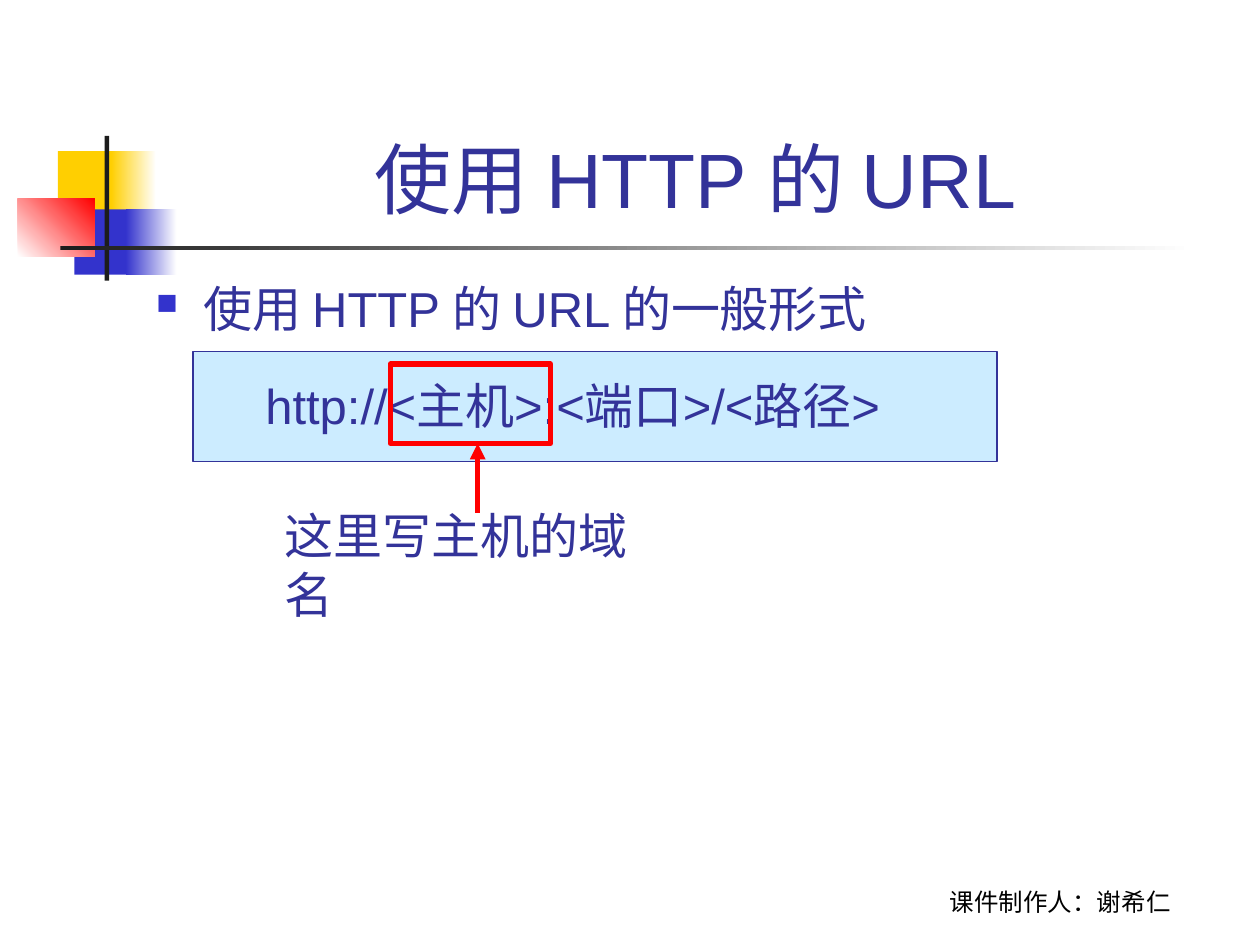
from lxml import etree
from pptx import Presentation
from pptx.dml.color import RGBColor
from pptx.enum.shapes import MSO_CONNECTOR, MSO_SHAPE
from pptx.enum.text import MSO_ANCHOR, PP_ALIGN
from pptx.oxml.ns import qn
from pptx.util import Cm, Pt

RECT = MSO_SHAPE.RECTANGLE
LINE = MSO_CONNECTOR.STRAIGHT
TOP, BOTTOM = MSO_ANCHOR.TOP, MSO_ANCHOR.BOTTOM
LEFT, CENTER = PP_ALIGN.LEFT, PP_ALIGN.CENTER

WHITE = RGBColor(0xFF, 0xFF, 0xFF)
BLACK = RGBColor(0, 0, 0)
INK = RGBColor(0x1C, 0x1C, 0x1C)
NAVY = RGBColor(0x33, 0x33, 0x99)
BLUE = RGBColor(0x33, 0x33, 0xCC)
SKY = RGBColor(0xCC, 0xEC, 0xFF)
GOLD = RGBColor(0xFF, 0xCF, 0x01)
RED = RGBColor(0xFF, 0, 0)


class Deck:
    base = {"name": "Arial", "size": 28, "color": NAVY}

    def __init__(self, wide, high):
        self.prs = Presentation()
        self.prs.slide_width, self.prs.slide_height = Cm(wide), Cm(high)
        self.slide = self.prs.slides.add_slide(self.prs.slide_layouts[5])
        self.shapes = self.slide.shapes

    def label(self, para, text, **style):
        """Put one styled run into a paragraph."""
        run = para.add_run()
        run.text = text
        form = {**self.base, **style}
        run.font.color.rgb = form.pop("color")
        form["size"] = Pt(form["size"])
        for key, value in form.items():
            setattr(run.font, key, value)

    def title(self, text, x, y, w, h):
        box = self.shapes.title
        place = {"left": x, "top": y, "width": w, "height": h}
        for key, value in place.items():
            setattr(box, key, Cm(value))
        box.text_frame.vertical_anchor = BOTTOM
        para = box.text_frame.paragraphs[0]
        para.alignment = CENTER
        self.label(para, text, size=44)

    def text(self, lines, x, y, w, h, wrap=True, anchor=TOP, align=LEFT, **style):
        frame = self.shapes.add_textbox(Cm(x), Cm(y), Cm(w), Cm(h)).text_frame
        frame.word_wrap, frame.vertical_anchor = wrap, anchor
        paras = [frame.paragraphs[0]]
        paras += [frame.add_paragraph() for _ in lines[1:]]
        for para, line in zip(paras, lines):
            para.alignment = align
            self.label(para, line, **style)
        return paras

    def indent(self, para, left, first, before):
        para.space_before = Pt(before)
        props = para._p.get_or_add_pPr()
        props.set("marL", str(Cm(left)))
        props.set("indent", str(Cm(first)))
        return props

    def bullet(self, props, char, color, size):
        tint = etree.SubElement(props, qn("a:buClr"))
        etree.SubElement(tint, qn("a:srgbClr"), val=str(color))
        etree.SubElement(props, qn("a:buSzPct"), val=str(size * 1000))
        etree.SubElement(props, qn("a:buChar"), char=char)

    def rect(self, x, y, w, h, fill=None, fade=None, angle=0, line=None, width=1):
        box = self.shapes.add_shape(RECT, Cm(x), Cm(y), Cm(w), Cm(h))
        box.shadow.inherit = False
        if fade:
            box.fill.gradient()
            box.fill.gradient_angle = angle
            for stop, color in zip(box.fill.gradient_stops, fade):
                stop.color.rgb = color
        elif fill is not None:
            box.fill.solid()
            box.fill.fore_color.rgb = fill
        else:
            box.fill.background()
        if line is None:
            box.line.fill.background()
        else:
            box.line.color.rgb, box.line.width = line, Pt(width)

    def arrow(self, x1, y1, x2, y2, color, width):
        link = self.shapes.add_connector(LINE, Cm(x1), Cm(y1), Cm(x2), Cm(y2))
        link.line.color.rgb, link.line.width = color, Pt(width)
        props = link._element.spPr
        etree.SubElement(props.find(qn("a:ln")), qn("a:tailEnd"), type="triangle")
        etree.SubElement(props, qn("a:effectLst"))


def main():
    deck = Deck(25.4, 19.05)

    # Corner ornament: two fading bars, a red block and the cross lines
    for color, x, y, w, cut, tail in ((GOLD, 1.17, 3.05, 1.22, 2.24, 0.91),
                                      (BLUE, 1.5, 4.22, 1.17, 2.54, 1.02)):
        deck.rect(x, y, w, 1.32, fill=color)
        deck.rect(cut, y, tail, 1.32, fade=(color, WHITE))
    deck.rect(0.36, 4.01, 1.55, 1.17, fade=(WHITE, RED), angle=45)
    deck.rect(2.11, 2.74, 0.09, 2.92, fill=INK)
    deck.rect(1.22, 4.95, 22.86, 0.09, fade=(INK, WHITE))

    # Title and credit
    deck.title("使用 HTTP 的 URL", 3.2, 0.58, 21.64, 4.06)
    deck.text(["课件制作人：谢希仁"], 17.35, 17.32, 8.05, 1.27, anchor=BOTTOM,
              align=CENTER, name="Lato", size=14, color=BLACK)

    # URL form on its panel
    deck.rect(3.89, 7.09, 16.21, 2.21, fill=SKY, line=NAVY, width=0.75)
    head, form = deck.text(["使用 HTTP 的 URL 的一般形式", "http://<主机>:<端口>/<路径>"],
                           2.9, 5.49, 21.59, 3.81)
    deck.bullet(deck.indent(head, 0.95, -0.95, 7), "■", BLUE, 60)
    deck.indent(form, 2.2, 0, 22)

    # Host part marked and explained
    deck.rect(7.87, 7.34, 3.23, 1.6, line=RED, width=3)
    deck.arrow(9.63, 10.34, 9.63, 8.94, RED, 3)
    deck.text(["这里写主机的域名"], 5.49, 10.06, 8.38, 1.45, wrap=False, name="Lato")

    deck.prs.save("out.pptx")


if __name__ == "__main__":
    main()
